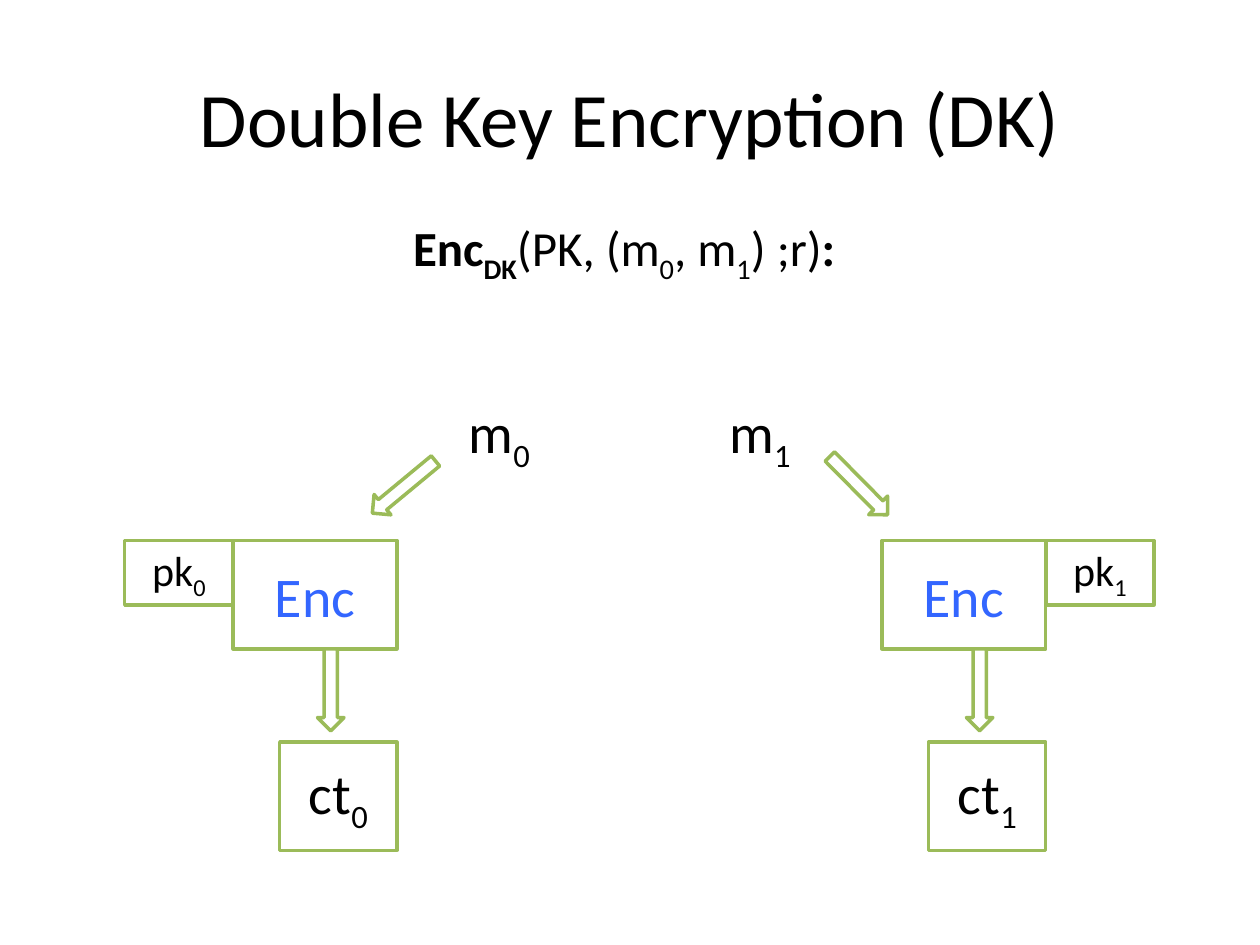
from dataclasses import dataclass

from pptx import Presentation
from pptx.dml.color import RGBColor
from pptx.enum.shapes import MSO_SHAPE
from pptx.enum.text import MSO_ANCHOR, PP_ALIGN
from pptx.util import Inches, Pt


@dataclass(frozen=True)
class Theme:
    font: str = "Calibri"
    text: RGBColor = RGBColor(0, 0, 0)
    accent: RGBColor = RGBColor(0x33, 0x66, 0xFF)
    fill: RGBColor = RGBColor(0xFF, 0xFF, 0xFF)
    line: RGBColor = RGBColor(0x9B, 0xBB, 0x59)
    line_width: float = 2
    title: int = 44
    formula: int = 28
    label: int = 32
    key: int = 24


THEME = Theme()

# Content: runs are (text, bold, subscript)
TITLE = "Double Key Encryption (DK)"
FORMULA = [
    ("Enc", True, False), ("DK", True, True),
    ("(PK, (m", False, False), ("0", False, True),
    (", m", False, False), ("1", False, True),
    (") ;r)", False, False), (":", True, False),
]
# Each branch: left of its Enc box, side of its key, message left, slanted arrow
BRANCHES = [
    dict(index="0", left=1.85, key_side="left", message=3.62, arrow=(2.88, 3.76, 140.4)),
    dict(index="1", left=7.0, key_side="right", message=5.69, arrow=(6.49, 3.75, 45.3)),
]

# Grid: rows and box sizes in inches
MESSAGE_TOP, ENC_TOP, ARROW_TOP, CT_TOP = 3.11, 4.29, 5.37, 5.89
MESSAGE, ENC, KEY, CT = (0.71, 0.64), (1.3, 0.86), (0.86, 0.51), (0.93, 0.86)
ARROW = (0.65, 0.21)
ARROW_INDENT = 0.45


def write(s, runs, size, color=THEME.text, align=PP_ALIGN.CENTER):
    p = s.text_frame.paragraphs[0]
    p.alignment = align
    for text, bold, subscript in runs:
        r = p.add_run()
        r.text = text
        r.font.name, r.font.size, r.font.bold = THEME.font, Pt(size), bold
        r.font.color.rgb = color
        if subscript:
            r.font._element.set("baseline", "-25000")


def indexed(name, index):
    return [(name, False, False), (index, False, True)]


def add_text(slide, left, top, size, runs, points):
    s = slide.shapes.add_textbox(*map(Inches, (left, top, *size)))
    s.text_frame.word_wrap = False
    write(s, runs, points, align=PP_ALIGN.LEFT)


def add_outlined(slide, kind, left, top, size, rotation=0):
    s = slide.shapes.add_shape(kind, *map(Inches, (left, top, *size)))
    s.rotation = rotation
    s.shadow.inherit = False
    s.fill.solid()
    s.fill.fore_color.rgb = THEME.fill
    s.line.color.rgb = THEME.line
    s.line.width = Pt(THEME.line_width)
    return s


def add_box(slide, left, top, size, runs, points, color=THEME.text):
    s = add_outlined(slide, MSO_SHAPE.RECTANGLE, left, top, size)
    s.text_frame.vertical_anchor = MSO_ANCHOR.MIDDLE
    write(s, runs, points, color)


def add_branch(slide, index, left, key_side, message, arrow):
    right = left + ENC[0]
    key_left = left - KEY[0] if key_side == "left" else right
    arrow_left, arrow_top, angle = arrow
    add_box(slide, left, ENC_TOP, ENC, [("Enc", False, False)], THEME.label, THEME.accent)
    add_outlined(slide, MSO_SHAPE.RIGHT_ARROW, arrow_left, arrow_top, ARROW, angle)
    add_outlined(slide, MSO_SHAPE.RIGHT_ARROW, left + ARROW_INDENT, ARROW_TOP, ARROW, 90)
    add_text(slide, message, MESSAGE_TOP, MESSAGE, indexed("m", index), THEME.label)
    add_box(slide, key_left, ENC_TOP, KEY, indexed("pk", index), THEME.key)
    add_box(slide, right - CT[0], CT_TOP, CT, indexed("ct", index), THEME.label)


def main():
    prs = Presentation()
    prs.slide_width, prs.slide_height = Inches(10), Inches(7.5)
    slide = prs.slides.add_slide(prs.slide_layouts[5])

    # Title and formula
    title = slide.shapes.title
    title.left, title.top, title.width, title.height = map(Inches, (0.5, 0.3, 9, 1.25))
    title.text_frame.vertical_anchor = MSO_ANCHOR.MIDDLE
    write(title, [(TITLE, False, False)], THEME.title)
    add_text(slide, 3.18, 1.68, (3.64, 0.57), FORMULA, THEME.formula)

    # Encryption branches
    for branch in BRANCHES:
        add_branch(slide, **branch)

    prs.save("out.pptx")


if __name__ == "__main__":
    main()
